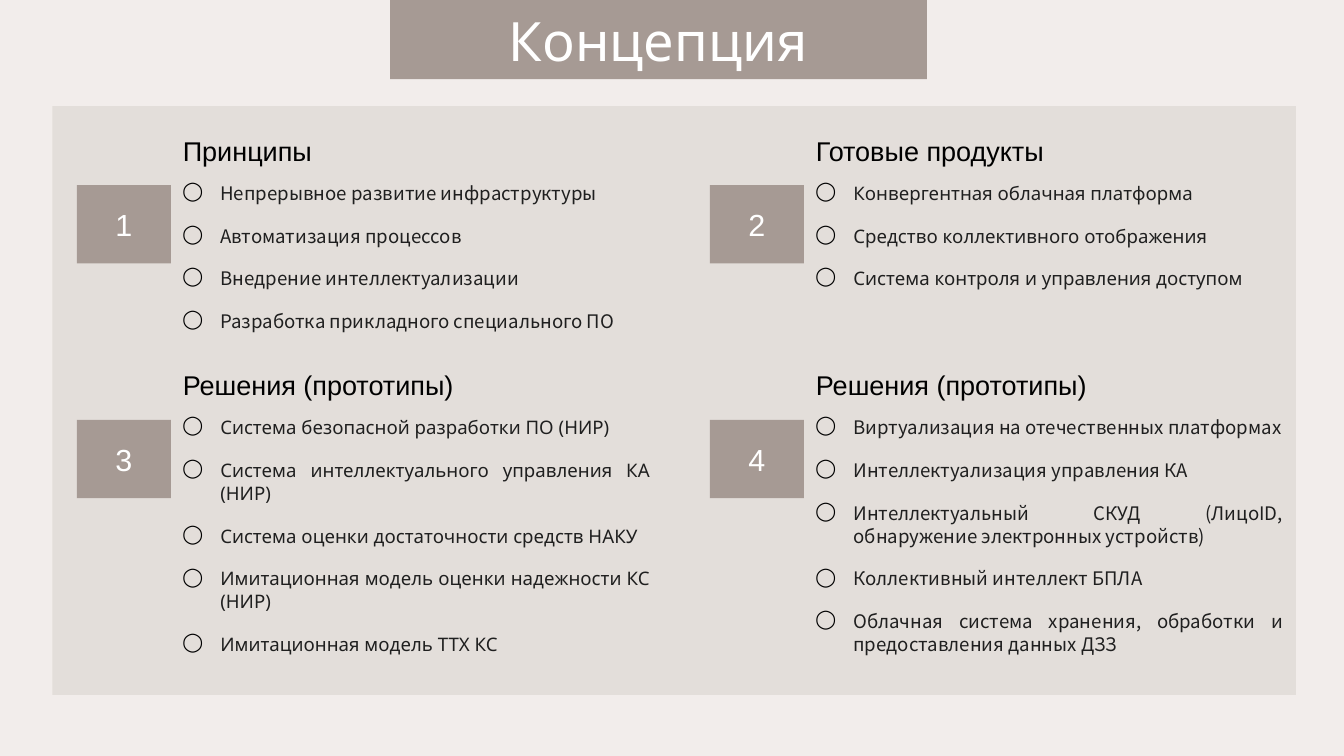
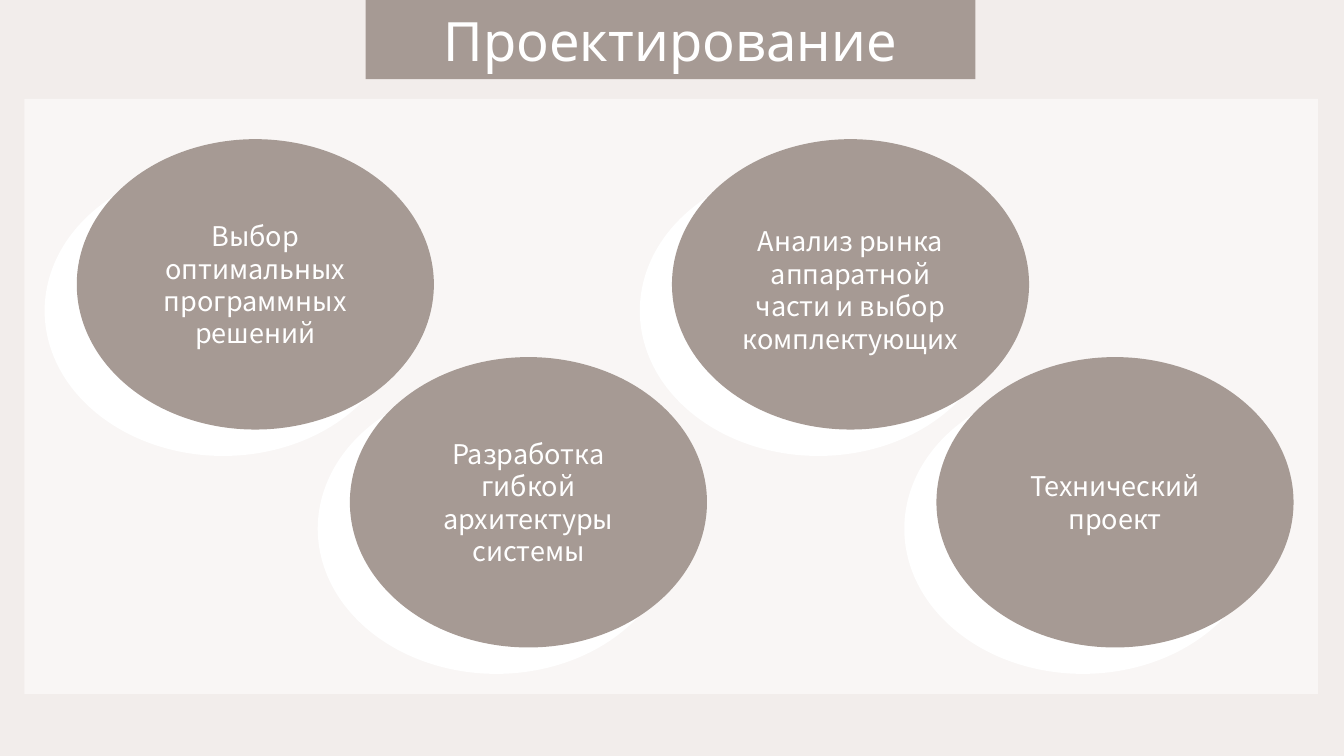
import pptx
import pptx.util
import pptx.dml.color
import pptx.enum.shapes
import pptx.enum.text
import pptx.oxml.ns
import lxml.etree

Cm = pptx.util.Cm
Pt = pptx.util.Pt
Shape = pptx.enum.shapes.MSO_SHAPE
Align = pptx.enum.text.PP_ALIGN
Anchor = pptx.enum.text.MSO_ANCHOR


def color(value):
    return pptx.dml.color.RGBColor.from_string(value)


def add_element(parent, tag, **attributes):
    return lxml.etree.SubElement(parent, pptx.oxml.ns.qn(tag), attributes)


class Deck:
    ACCENT = "A69A94"
    BACKGROUND = "F2EDEB"
    PANEL = "E3DEDA"
    WHITE = "FFFFFF"
    BLACK = "000000"
    BODY = "1F1F1F"
    SANS = "Noto Sans"
    CJK = "Noto Sans CJK JP"
    ARIAL = "Arial"

    def __init__(self, width, height):
        self.presentation = pptx.Presentation()
        self.presentation.slide_width = Cm(width)
        self.presentation.slide_height = Cm(height)
        self.width = width
        self.slide = None

    def add_slide(self):
        self.slide = self.presentation.slides.add_slide(self.presentation.slide_layouts[6])
        fill = self.slide.background.fill
        fill.solid()
        fill.fore_color.rgb = color(self.BACKGROUND)

    def shape(self, kind, left, top, width, height, fill, opacity=None):
        shape = self.slide.shapes.add_shape(kind, Cm(left), Cm(top), Cm(width), Cm(height))
        shape.shadow.inherit = False
        shape.fill.solid()
        shape.fill.fore_color.rgb = color(fill)
        shape.line.fill.background()
        if opacity is not None:
            tint = shape.fill._xPr.find(".//" + pptx.oxml.ns.qn("a:srgbClr"))
            add_element(tint, "a:alpha", val=str(opacity * 1000))
        return shape

    def style(self, para, size, font, fill):
        for span in para.runs:
            span.font.size = Pt(size)
            span.font.name = font
            span.font.color.rgb = color(fill)

    def label(self, shape, text, size, font):
        frame = shape.text_frame
        frame.word_wrap = True
        frame.vertical_anchor = Anchor.MIDDLE
        frame.text = text
        para = frame.paragraphs[0]
        para.alignment = Align.CENTER
        self.style(para, size, font, self.WHITE)
        return para

    def title(self, text, left, width):
        band = self.shape(Shape.RECTANGLE, left, 0, width, 1.65, self.ACCENT)
        self.label(band, text, 32, self.SANS)

    def badge(self, text, left, top):
        box = self.shape(Shape.RECTANGLE, left, top, 1.96, 1.63, self.ACCENT)
        self.label(box, text, 18, self.ARIAL)

    def text_box(self, left, top, width, height):
        box = self.slide.shapes.add_textbox(Cm(left), Cm(top), Cm(width), Cm(height))
        box.text_frame.word_wrap = True
        return box.text_frame

    def heading(self, text, left, top):
        frame = self.text_box(left, top, 7.3, 0.81)
        frame.text = text
        self.style(frame.paragraphs[0], 16, self.ARIAL, self.BLACK)

    def bullets(self, items, left, top, height, font):
        frame = self.text_box(left, top, 10.31, height)
        frame.margin_left = frame.margin_right = Cm(0.28)
        frame.margin_top = frame.margin_bottom = Cm(0.15)
        frame.text = "\n".join(items)
        for index, para in enumerate(frame.paragraphs):
            para.alignment = Align.JUSTIFY
            para.line_spacing = Pt(13.3)
            para.space_after = Pt(6)
            if index:
                para.space_before = Pt(6)
            properties = para._p.get_or_add_pPr()
            properties.set("marL", str(Cm(0.79)))
            properties.set("indent", str(-Cm(0.79)))
            bullet_color = add_element(properties, "a:buClr")
            add_element(bullet_color, "a:srgbClr", val=self.BLACK)
            add_element(properties, "a:buChar", char="◯")
            self.style(para, 11, font, self.BODY)

    def stage(self, text, left, top, text_drop):
        size = (7.44, 6.05)
        self.shape(Shape.OVAL, left - 0.67, top + 0.55, *size, self.WHITE)
        oval = self.shape(Shape.OVAL, left, top, *size, self.ACCENT)
        para = self.label(oval, text, 16, self.CJK)
        para.line_spacing = Pt(19.1)
        oval.text_frame.margin_top = Cm(0.13 + text_drop)


def build_concept(deck):
    deck.add_slide()
    deck.title("Концепция", 8.13, 11.18)
    deck.shape(Shape.RECTANGLE, 1.09, 2.21, 25.91, 12.27, deck.PANEL)
    sections = [
        ("Принципы", deck.CJK, 3.43, [
            "Непрерывное развитие инфраструктуры",
            "Автоматизация процессов",
            "Внедрение интеллектуализации",
            "Разработка прикладного специального ПО",
        ]),
        ("Готовые продукты", deck.SANS, 2.54, [
            "Конвергентная облачная платформа",
            "Средство коллективного отображения",
            "Система контроля и управления доступом",
        ]),
        ("Решения (прототипы)", deck.SANS, 5.23, [
            "Система безопасной разработки ПО (НИР)",
            "Система интеллектуального управления КА (НИР)",
            "Система оценки достаточности средств НАКУ",
            "Имитационная модель оценки надежности КС (НИР)",
            "Имитационная модель ТТХ КС",
        ]),
        ("Решения (прототипы)", deck.CJK, 5.23, [
            "Виртуализация на отечественных платформах",
            "Интеллектуализация управления КА",
            "Интеллектуальный СКУД (ЛицоID, обнаружение электронных устройств)",
            "Коллективный интеллект БПЛА",
            "Облачная система хранения, обработки и предоставления данных ДЗЗ",
        ]),
    ]
    for index, (heading, font, height, items) in enumerate(sections):
        row, column = divmod(index, 2)
        left, top = 13.19 * column, 4.89 * row
        deck.badge(str(index + 1), 1.6 + left, 3.86 + top)
        deck.heading(heading, 3.56 + left, 2.67 + top)
        deck.bullets(items, 3.52 + left, 3.63 + top, height, font)


def build_design(deck):
    deck.add_slide()
    deck.shape(Shape.RECTANGLE, 0.51, 2.06, 26.95, 12.4, deck.WHITE, opacity=54)
    deck.title("Проектирование", 7.62, 12.7)
    stages = [
        ("Выбор оптимальных программных решений", 1.6, 0),
        ("Разработка гибкой архитектуры системы", 7.29, 0),
        ("Анализ рынка аппаратной части и выбор комплектующих", 14, 0.22),
        ("Технический проект", 19.51, 0),
    ]
    for index, (text, left, text_drop) in enumerate(stages):
        deck.stage(text, left, 2.9 + 4.54 * (index % 2), text_drop)


def main():
    deck = Deck(28, 15.75)
    build_concept(deck)
    build_design(deck)
    deck.presentation.save("out.pptx")


if __name__ == "__main__":
    main()
